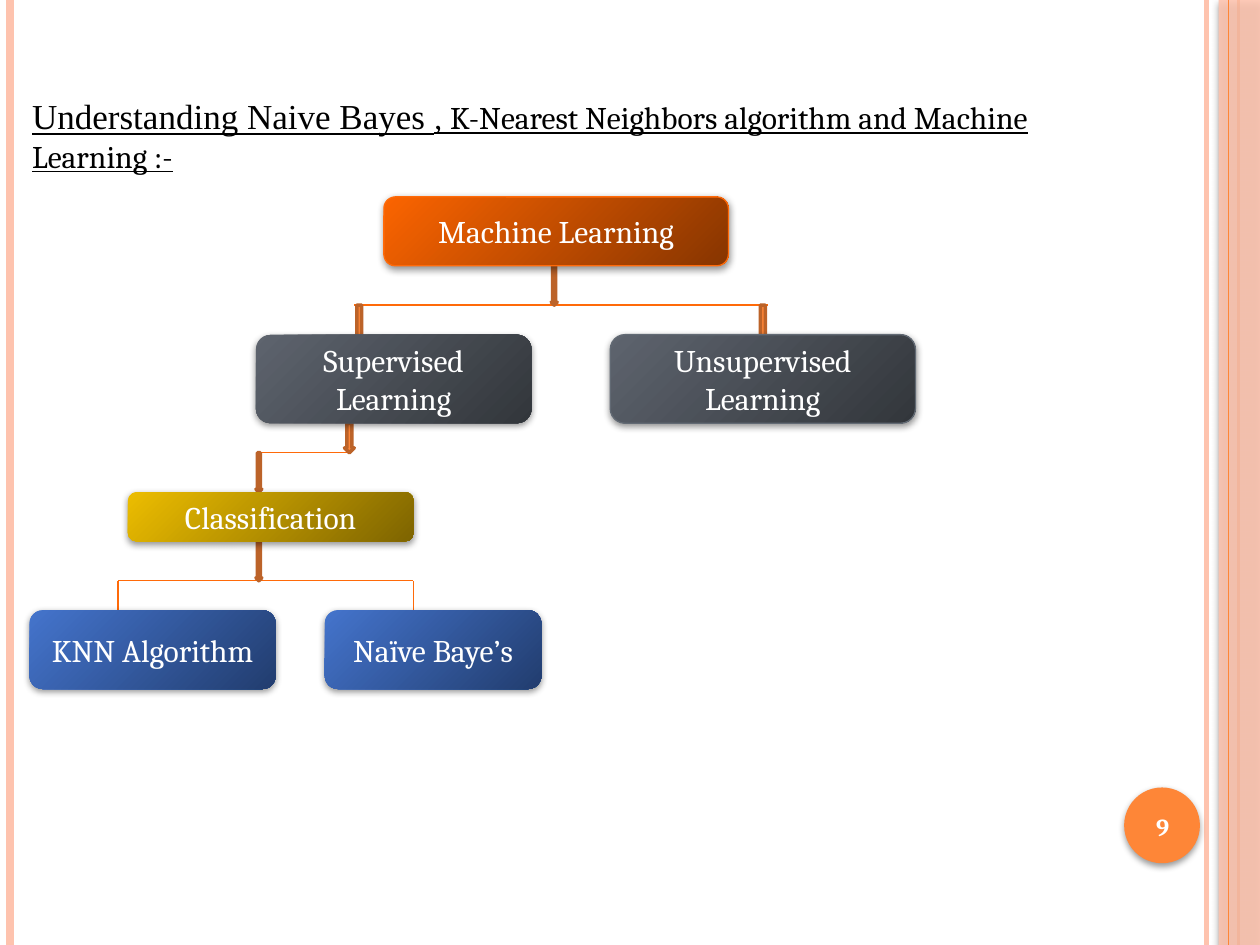
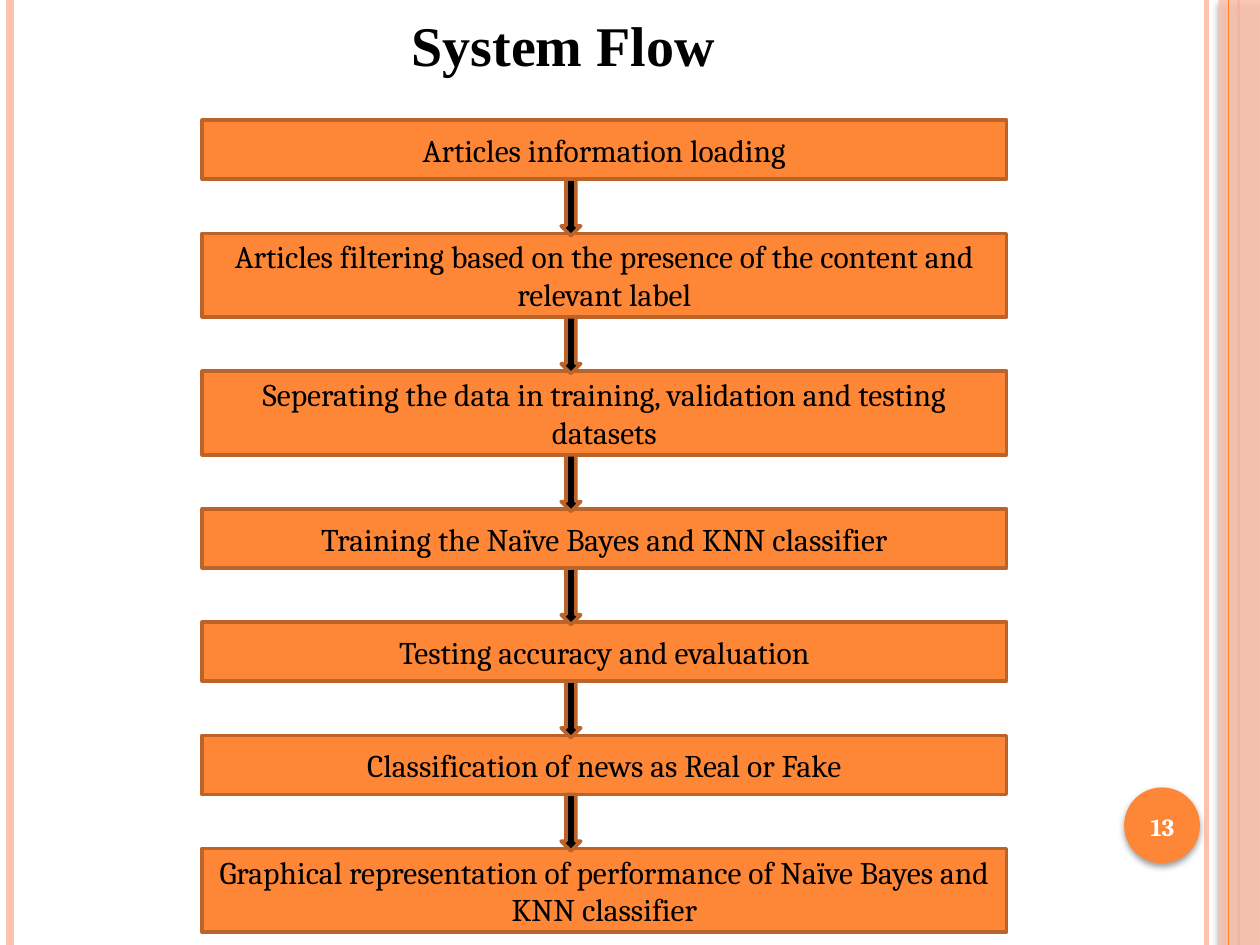
import pptx
import pptx.util
import pptx.dml.color
import pptx.enum.shapes
import pptx.enum.text
import lxml.etree

COLOURS = {
    "orange": "FE8637", "peach": "FEC3AE", "rust": "BC6329", "rule": "FF6A09",
    "slate": "626A74", "black": "000000", "white": "FFFFFF",
}
GRADIENTS = {
    "orange": ("FB6400", "873500"), "slate": ("5E646E", "32363B"),
    "gold": ("ECBD00", "7E6400"), "blue": ("4474CC", "223D6F"),
}
BODY_FONT, TITLE_FONT = "Cambria", "Times New Roman"
DRAWING = "{http://schemas.openxmlformats.org/drawingml/2006/main}"
SHAPES = pptx.enum.shapes.MSO_SHAPE
RGB = pptx.dml.color.RGBColor.from_string
Pt = pptx.util.Pt

# The slide is a grid of 128 columns by 96 rows of square cells
COLUMNS, ROWS = 128, 96
deck = pptx.Presentation()
deck.slide_width, deck.slide_height = pptx.util.Inches(10), pptx.util.Inches(7.5)
CELL = deck.slide_width / COLUMNS


def add_box(page, kind, cells, fill=None, line=None, width=0.75, text=None,
            size=18, colour="white", bold=False, shadow=None, alpha=None):
    """Add a shape, or a text box when kind is None, placed in grid cells."""
    place = [round(cell * CELL) for cell in cells]
    if kind is None:
        box = page.shapes.add_textbox(*place)
    else:
        box = page.shapes.add_shape(kind, *place)
        if fill in COLOURS:
            box.fill.solid()
            box.fill.fore_color.rgb = RGB(COLOURS[fill])
        else:
            box.fill.gradient()
            box.fill.gradient_angle = 315
            for stop, shade in zip(box.fill.gradient_stops, fill):
                stop.color.rgb = RGB(shade)
        if line:
            box.line.color.rgb = RGB(COLOURS[line])
            box.line.width = Pt(width)
        else:
            box.line.fill.background()
        box.shadow.inherit = False
    properties = box._element.spPr
    if alpha:
        shade = properties.find(f"{DRAWING}solidFill/{DRAWING}srgbClr")
        lxml.etree.SubElement(shade, DRAWING + "alpha", val=str(alpha * 1000))
    if shadow:
        opacity, distance = shadow
        outer = lxml.etree.SubElement(
            properties.find(DRAWING + "effectLst"), DRAWING + "outerShdw",
            blurRad=str(Pt(4)), dist=str(Pt(distance)), dir="5400000", rotWithShape="0")
        shade = lxml.etree.SubElement(outer, DRAWING + "srgbClr", val=COLOURS["black"])
        lxml.etree.SubElement(shade, DRAWING + "alpha", val=str(opacity * 1000))
    if text:
        box.text_frame.word_wrap = True
        box.text_frame.vertical_anchor = pptx.enum.text.MSO_ANCHOR.MIDDLE
        para = box.text_frame.paragraphs[0]
        para.text = text
        para.alignment = pptx.enum.text.PP_ALIGN.CENTER
        para.font.name, para.font.size, para.font.bold = BODY_FONT, Pt(size), bold
        para.font.color.rgb = RGB(COLOURS[colour])
    return box


def add_rule(page, cells, colour="rule", width=0.75):
    """Add a straight line between two grid points."""
    rule = page.shapes.add_connector(
        pptx.enum.shapes.MSO_CONNECTOR.STRAIGHT, *[round(cell * CELL) for cell in cells])
    rule.line.color.rgb = RGB(COLOURS[colour])
    rule.line.width = Pt(width)
    lxml.etree.SubElement(rule._element.spPr, DRAWING + "effectLst")
    return rule


# Both pages: side bands and the page number
pages = []
for number in ("9", "13"):
    page = deck.slides.add_slide(deck.slide_layouts[6])
    for column, colour, width in ((122.6, "peach", 3), (1, "peach", 4.5), (125.8, "orange", 1.5)):
        add_rule(page, (column, 0, column, ROWS), colour, width)
    add_box(page, SHAPES.RECTANGLE, (123.8, 0, 4.2, ROWS), "peach", shadow=(40, 2), alpha=87)
    add_rule(page, (124.8, 0, 124.8, ROWS), "orange")
    add_box(page, SHAPES.OVAL, (114.2, 80, 7.7, 7.7), "orange", shadow=(40, 2))
    add_box(page, None, (113.8, 80.3, 8.6, 7.3), text=number, size=14, bold=True)
    pages.append(page)
tree_page, flow_page = pages

# Learning tree: heading
heading = tree_page.shapes.add_textbox(
    *[round(cell * CELL) for cell in (2, 9, 115, 9.3)])
heading.text_frame.word_wrap = True
para = heading.text_frame.paragraphs[0]
para.font.underline = True
para.font.color.rgb = RGB(COLOURS["black"])
for words, font, size in (
        ("Understanding Naive Bayes ", TITLE_FONT, 20),
        (", ", TITLE_FONT, 18),
        ("K-Nearest Neighbors algorithm and Machine Learning :-", BODY_FONT, 18)):
    span = para.add_run()
    span.text, span.font.name, span.font.size = words, font, Pt(size)

# Learning tree: branches, arrows, then nodes
for branch in ((36, 31, 78, 31), (26, 46, 35.5, 46), (12, 59, 42, 59),
               (12, 59, 12, 62), (42, 59, 42, 62)):
    add_rule(tree_page, branch)
for arrow in ((56, 27, 0.6, 4), (36, 31, 1, 4), (77, 31, 1, 4),
              (35, 43, 1, 3), (26, 46, 0.6, 4), (26, 55, 0.6, 4)):
    add_box(tree_page, SHAPES.DOWN_ARROW, arrow, "orange", "rust", 2)
for label, cells, gradient, line in (
        ("Machine Learning", (39, 20, 35, 7), "orange", "rule"),
        ("Supervised Learning", (26, 34, 28, 9), "slate", None),
        ("Unsupervised Learning", (62, 34, 31, 9), "slate", "slate"),
        ("Classification", (13, 50, 29, 5), "gold", None),
        ("KNN Algorithm", (3, 62, 25, 8), "blue", None),
        ("Naïve Baye’s", (33, 62, 22, 8), "blue", None)):
    add_box(tree_page, SHAPES.ROUNDED_RECTANGLE, cells, GRADIENTS[gradient], line,
            text=label, shadow=(42, 1.6))

# System flow: title
title = add_box(flow_page, None, (25.2, 0.5, 72.3, 8), text="System Flow",
                size=32, colour="black", bold=True)
title.text_frame.margin_left = round(16.6 * CELL)
title.text_frame.paragraphs[0].font.name = TITLE_FONT
title.text_frame.paragraphs[0].alignment = pptx.enum.text.PP_ALIGN.LEFT

# System flow: steps stacked with equal gaps, then an arrow below each but the last
ONE_LINE, TWO_LINES, GAP = 6, 8.5, 5.5
steps = (
    ("Articles information loading", ONE_LINE),
    ("Articles filtering based on the presence of the content and relevant label", TWO_LINES),
    ("Seperating the data in training, validation and testing datasets", TWO_LINES),
    ("Training the Naïve Bayes and KNN classifier", ONE_LINE),
    ("Testing accuracy and evaluation", ONE_LINE),
    ("Classification of news as Real or Fake", ONE_LINE),
    ("Graphical representation of performance of Naïve Bayes and KNN classifier", TWO_LINES),
)
top, bottoms = 12.2, []
for step, height in steps:
    add_box(flow_page, SHAPES.RECTANGLE, (20.55, top, 81.7, height), "orange", "rust", 2,
            text=step, colour="black")
    bottoms.append(top + height)
    top += height + GAP
for bottom in bottoms[:-1]:
    add_box(flow_page, SHAPES.DOWN_ARROW, (57, bottom, 2, 5.75), "black", "rust", 2)

deck.save("out.pptx")
